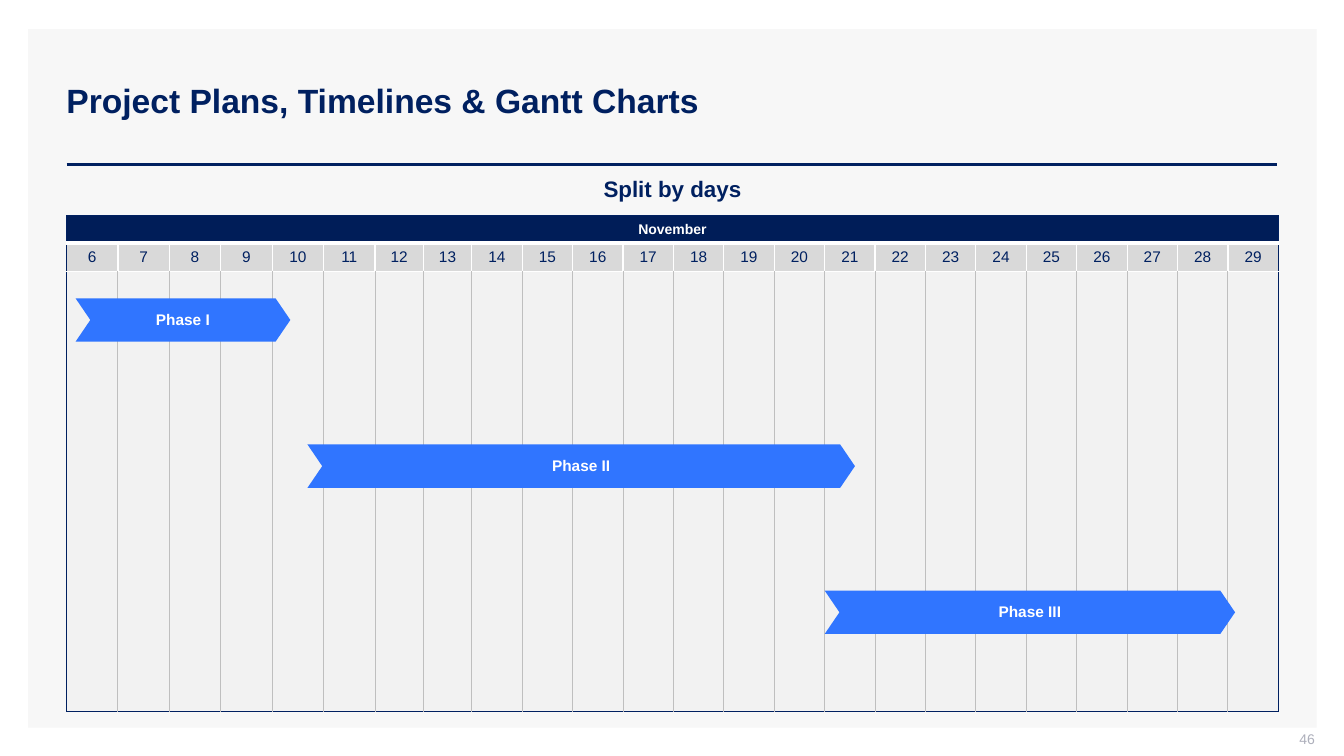
from lxml.etree import SubElement
from pptx import Presentation
from pptx.dml.color import RGBColor
from pptx.enum.shapes import MSO_CONNECTOR, MSO_SHAPE
from pptx.enum.text import MSO_ANCHOR, PP_ALIGN
from pptx.oxml.ns import qn
from pptx.util import Inches, Pt

COLORS = {
    "navy": "002060", "month": "001D58", "day": "D9D9D9", "body": "F2F2F2",
    "grid": "BFBFBF", "panel": "F7F7F7", "phase": "3075FF",
    "white": "FFFFFF", "number": "ADAFBB",
}
FONT = "Arial"
DAYS = range(6, 30)
DAY_WIDTHS = [0.51] * 6 + [0.48] * 2 + [0.5] * 16
ROW_HEIGHTS = [0.26, 0.28, 4.37]
# Phase name, offset from the chart's left edge, length
PHASES = [("Phase I", 0.09, 2.13), ("Phase II", 2.39, 5.43), ("Phase III", 7.52, 4.07)]


def color(name):
    return RGBColor.from_string(COLORS[name])


def write(frame, text, size, ink="navy", bold=False, align=PP_ALIGN.CENTER,
          anchor=MSO_ANCHOR.MIDDLE, insets=(0.1, 0.05, 0.1, 0.05), spacing=None):
    frame.word_wrap = True
    frame.vertical_anchor = anchor
    (frame.margin_left, frame.margin_top,
     frame.margin_right, frame.margin_bottom) = map(Inches, insets)
    paragraph = frame.paragraphs[0]
    paragraph.alignment = align
    if spacing:
        paragraph.line_spacing = Pt(spacing)
    run = paragraph.add_run()
    run.text = text
    run.font.name = FONT
    run.font.size = Pt(size)
    run.font.bold = bold
    run.font.color.rgb = color(ink)


def add_label(slide, box, text, size, **style):
    label = slide.shapes.add_textbox(*map(Inches, box))
    write(label.text_frame, text, size, **style)


def add_filled(slide, kind, box, fill):
    shape = slide.shapes.add_shape(kind, *map(Inches, box))
    shape.shadow.inherit = False
    shape.fill.solid()
    shape.fill.fore_color.rgb = color(fill)
    shape.line.fill.background()
    return shape


def style_cell(cell, fill, left, right, top, bottom):
    """Each border is a (color name, points) pair."""
    properties = cell._tc.get_or_add_tcPr()
    for side, (ink, points) in zip("LRTB", (left, right, top, bottom)):
        border = SubElement(properties, qn(f"a:ln{side}"), w=str(Pt(points)))
        solid = SubElement(border, qn("a:solidFill"))
        SubElement(solid, qn("a:srgbClr"), val=COLORS[ink])
    cell.fill.solid()
    cell.fill.fore_color.rgb = color(fill)


def add_header(slide, box):
    left, top, width, height = box
    add_label(slide, (left - 0.1, top, width + 0.1, height - 0.04),
              "Project Plans, Timelines & Gantt Charts", 24, bold=True, align=PP_ALIGN.LEFT)
    rule_y = Inches(top + height)
    rule = slide.shapes.add_connector(MSO_CONNECTOR.STRAIGHT, Inches(left), rule_y,
                                      Inches(left + width), rule_y)
    rule.line.color.rgb = color("navy")
    rule.line.width = Pt(2)
    SubElement(rule._element.spPr, qn("a:effectLst"))


def add_calendar(slide, box):
    calendar = slide.shapes.add_table(len(ROW_HEIGHTS), len(DAYS), *map(Inches, box)).table
    for column, width in zip(calendar.columns, DAY_WIDTHS):
        column.width = Inches(width)
    for row, height in zip(calendar.rows, ROW_HEIGHTS):
        row.height = Inches(height)

    outline, divider = ("navy", 0.75), ("grid", 0.75)
    thin, thick = ("white", 1), ("white", 3)
    insets = (0.04, 0.05, 0.04, 0.05)
    last = len(DAYS) - 1
    for index, day in enumerate(DAYS):
        month_cell, day_cell, body_cell = (calendar.cell(row, index) for row in range(3))
        style_cell(month_cell, "month", outline, outline, outline, thick)
        for cell, fill, inner, top, bottom in (
                (day_cell, "day", thin, thick, thin),
                (body_cell, "body", divider, thin, outline)):
            style_cell(cell, fill, outline if index == 0 else inner,
                       outline if index == last else inner, top, bottom)
        write(day_cell.text_frame, str(day), 11, insets=insets)
        day_cell.vertical_anchor = MSO_ANCHOR.MIDDLE
        (day_cell.margin_left, day_cell.margin_top,
         day_cell.margin_right, day_cell.margin_bottom) = map(Inches, insets)

    # Month heading spans every day
    month = calendar.cell(0, 0)
    month.merge(calendar.cell(0, last))
    write(month.text_frame, "November", 10, ink="white", bold=True, insets=insets)
    month.vertical_anchor = MSO_ANCHOR.MIDDLE
    month.margin_left = month.margin_right = Inches(0.04)


def add_phases(slide, box):
    left, top, _, height = box
    bar_height = 0.43
    step = (height - bar_height) / (len(PHASES) - 1)
    for index, (name, offset, length) in enumerate(PHASES):
        bar = add_filled(slide, MSO_SHAPE.CHEVRON,
                         (left + offset, top + index * step, length, bar_height), "phase")
        bar.adjustments[0] = 0.34
        write(bar.text_frame, name, 11, ink="white", bold=True,
              insets=(0, 0.04, 0, 0.04), spacing=12)


def main():
    presentation = Presentation()
    presentation.slide_width = Inches(13.33)
    presentation.slide_height = Inches(7.5)
    slide = presentation.slides.add_slide(presentation.slide_layouts[6])

    # Background panel and heading
    add_filled(slide, MSO_SHAPE.RECTANGLE, (0.28, 0.29, 12.78, 6.93), "panel")
    add_header(slide, (0.66, 0.4, 12.01, 1.23))
    add_label(slide, (4.96, 1.69, 3.42, 0.37), "Split by days", 16,
              bold=True, anchor=MSO_ANCHOR.TOP)

    # Gantt chart
    add_calendar(slide, (0.66, 2.14, sum(DAY_WIDTHS), sum(ROW_HEIGHTS)))
    add_phases(slide, (0.66, 2.96, 12.01, 3.33))

    # Page number
    add_label(slide, (10.04, 7.25, 3, 0.21), "46", 10, ink="number",
              align=PP_ALIGN.RIGHT, insets=(0.1, 0, 0, 0.05))
    presentation.save("out.pptx")


if __name__ == "__main__":
    main()
